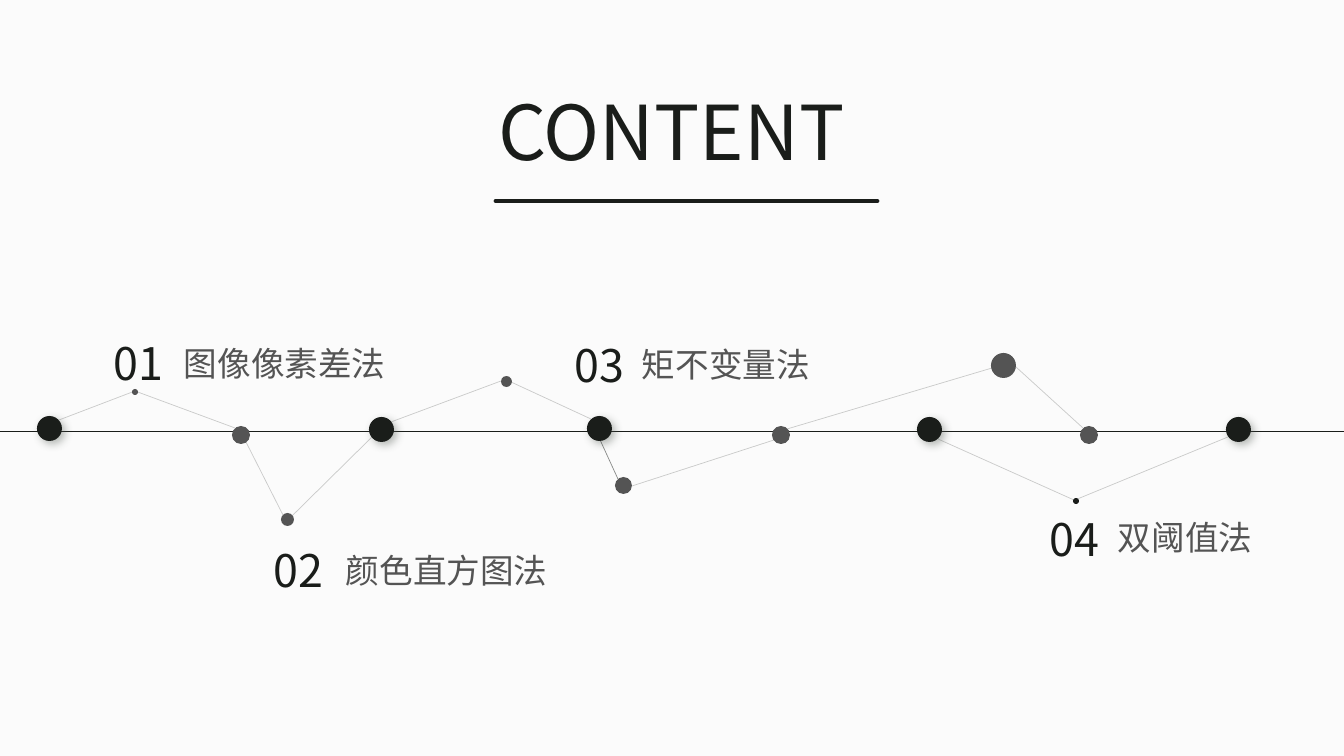
"""Build a contents slide with four topics along a dotted timeline."""
from lxml import etree
from pptx import Presentation
from pptx import util as u
from pptx.dml.color import RGBColor
from pptx.enum import shapes, text
from pptx.oxml import parse_xml
from pptx.oxml.ns import nsdecls, qn

PX = 12192000 / 1344
FONT = "Noto Sans CJK SC"
INK, GREY, PAPER, SHADE = "1A1D1A", "545454", "FBFBFB", "505950"

HEADING = ("CONTENT", (488, 80, 386, 102))
UNDERLINE = (496, 201, 877, 201)
AXIS = (0, 432, 1344, 432)
TOPICS = [
    ("01", (41, 331), "图像像素差法", (174, 338, 259)),
    ("02", (201, 538), "颜色直方图法", (336, 545, 222)),
    ("03", (502, 333), "矩不变量法", (632, 339, 188)),
    ("04", (977, 507), "双阈值法", (1108, 512, 154)),
]
NUMBER_SIZE, TOPIC_HEIGHT = (195, 64), 50
MILESTONES = [(37, 416), (369, 417), (587, 416), (917, 417), (1226, 417)]
MILESTONE_SIZE = 25
STOPS = [
    (232, 426, 18, GREY), (772, 426, 18, GREY), (1080, 426, 18, GREY),
    (281, 513, 13, GREY), (501, 376, 11, GREY), (615, 477, 17, GREY),
    (991, 353, 25, GREY), (132, 389, 6, GREY), (1073, 498, 6, INK),
]
LINKS = [
    (59, 420, 135, 391, 21), (135, 391, 235, 428, 21),
    (246, 442, 283, 515, 21), (292, 516, 372, 437, 21),
    (391, 422, 501, 381, 21), (591, 419, 511, 382, 21),
    (596, 431, 618, 479, 51), (774, 440, 632, 486, 21),
    (992, 368, 787, 429, 21), (1083, 428, 1016, 367, 21),
    (1074, 500, 938, 439, 21), (1228, 437, 1075, 500, 21),
]


def px(*lengths):
    return [u.Emu(round(length * PX)) for length in lengths]


def rgb(code):
    return RGBColor.from_string(code)


def apply(target, **values):
    for name, value in values.items():
        setattr(target, name, value)


def write(frame, words, size, color, align=text.PP_ALIGN.LEFT, wrap=False):
    apply(frame, word_wrap=wrap, auto_size=text.MSO_AUTO_SIZE.NONE,
          vertical_anchor=text.MSO_ANCHOR.TOP)
    paragraph = frame.paragraphs[0]
    paragraph.alignment = align
    run = paragraph.add_run()
    run.text = words
    apply(run.font, name=FONT, size=u.Pt(size))
    run.font.color.rgb = rgb(color)
    etree.SubElement(run.font._element, qn("a:ea"), typeface=FONT)


def add_label(slide, words, box, size, color, align=text.PP_ALIGN.LEFT, wrap=False):
    label = slide.shapes.add_textbox(*px(*box))
    write(label.text_frame, words, size, color, align, wrap)


def add_line(slide, ends, width, opacity=100, cap="flat"):
    line = slide.shapes.add_connector(shapes.MSO_CONNECTOR.STRAIGHT, *px(*ends))
    line.line.width = u.Pt(width)
    line.line.color.rgb = rgb(INK)
    properties = line._element.spPr
    outline = properties.find(qn("a:ln"))
    outline.set("cap", cap)
    if opacity < 100:
        color = outline.find(".//" + qn("a:srgbClr"))
        etree.SubElement(color, qn("a:alpha"), val=str(opacity * 1000))
    etree.SubElement(properties, qn("a:effectLst"))


def add_dot(slide, left, top, size, color):
    dot = slide.shapes.add_shape(shapes.MSO_SHAPE.OVAL, *px(left, top, size, size))
    dot.shadow.inherit = False
    dot.fill.solid()
    dot.fill.fore_color.rgb = rgb(color)
    dot.line.fill.background()
    return dot


def cast_shadow(dot):
    dot._element.spPr.find(qn("a:effectLst")).append(parse_xml(
        f'<a:outerShdw {nsdecls("a")} blurRad="{u.Pt(6)}" dist="{u.Pt(3)}"'
        f' dir="{45 * 60000}" algn="tl" rotWithShape="0"><a:srgbClr val="{SHADE}">'
        '<a:alpha val="40000"/></a:srgbClr></a:outerShdw>'))


def main():
    deck = Presentation()
    deck.slide_width, deck.slide_height = px(1344, 756)
    slide = deck.slides.add_slide(deck.slide_layouts[5])
    slide.background.fill.solid()
    slide.background.fill.fore_color.rgb = rgb(PAPER)

    words, box = HEADING
    heading = slide.shapes.title
    apply(heading, **dict(zip(("left", "top", "width", "height"), px(*box))))
    write(heading.text_frame, words, 54, INK)

    add_line(slide, UNDERLINE, 3.5, cap="rnd")
    add_line(slide, AXIS, 0.75)
    for left, top in MILESTONES:
        cast_shadow(add_dot(slide, left, top, MILESTONE_SIZE, INK))
    for *ends, opacity in LINKS:
        add_line(slide, ends, 0.5, opacity)
    for stop in STOPS:
        add_dot(slide, *stop)
    for number, corner, topic, (left, top, width) in TOPICS:
        add_label(slide, number, corner + NUMBER_SIZE, 32, INK,
                  text.PP_ALIGN.CENTER, True)
        add_label(slide, topic, (left, top, width, TOPIC_HEIGHT), 24, GREY)
    deck.save("out.pptx")


if __name__ == "__main__":
    main()
